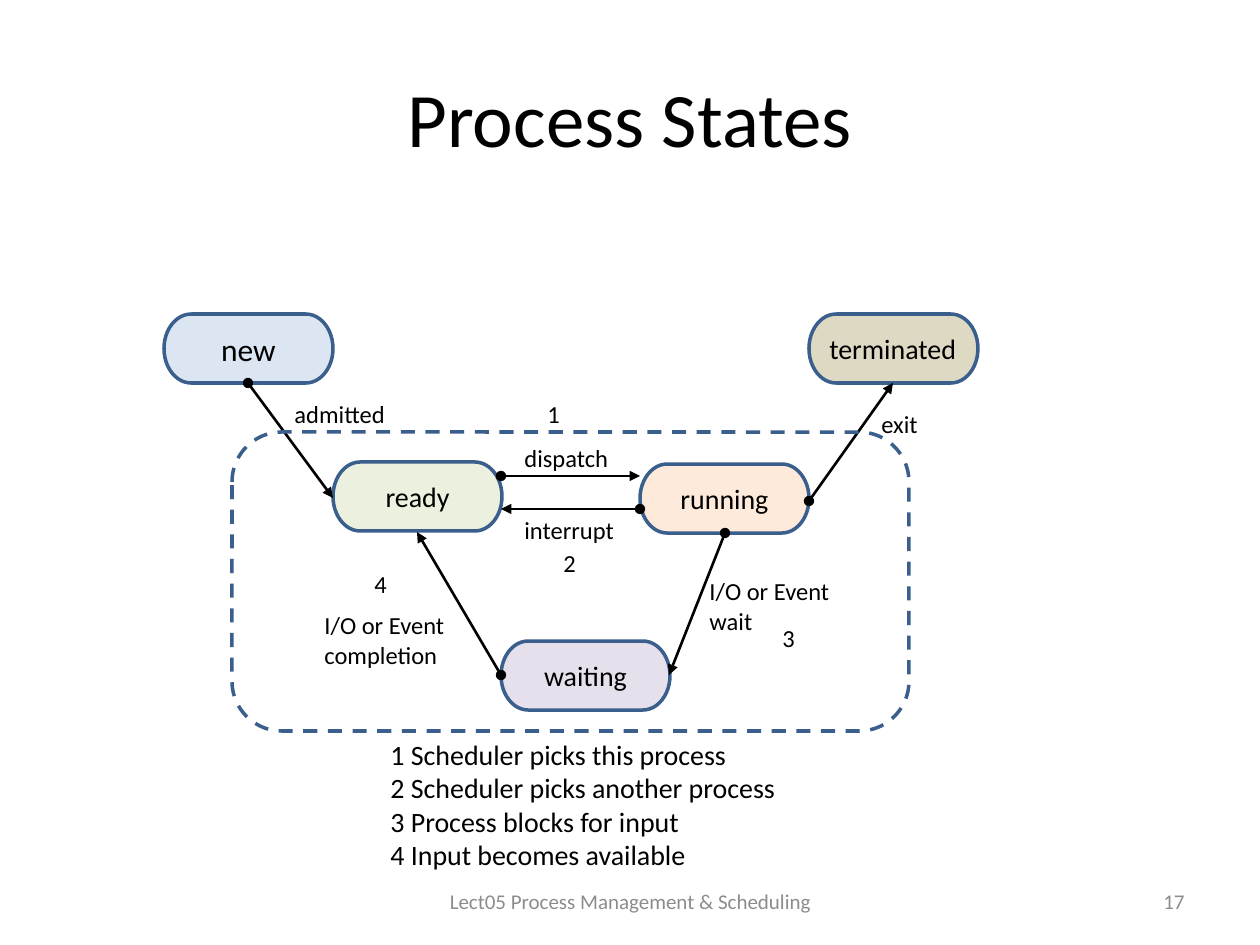
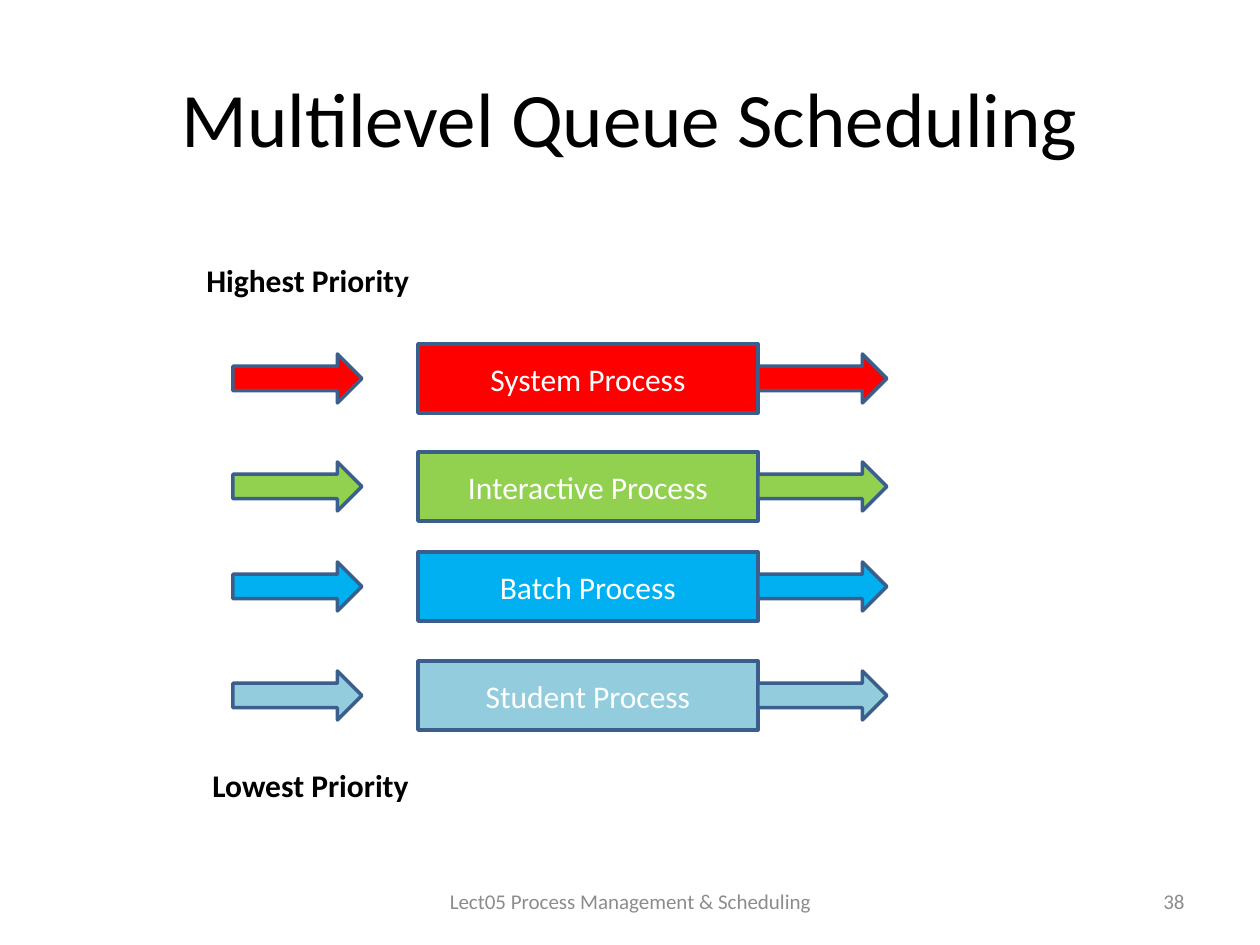
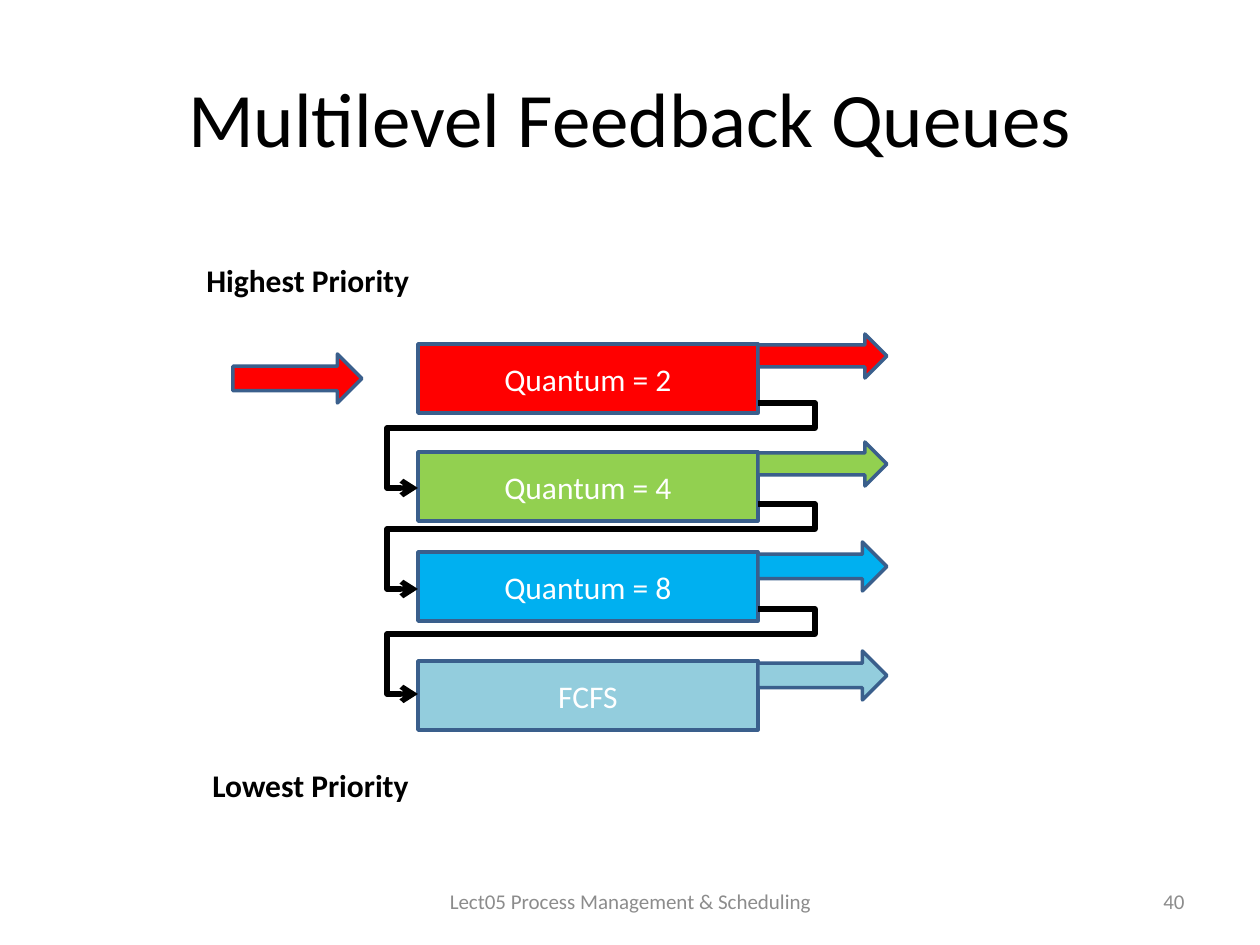
from lxml.etree import SubElement
from pptx import Presentation
from pptx.dml.color import RGBColor
from pptx.enum.dml import MSO_LINE
from pptx.enum.shapes import MSO_CONNECTOR as CONN, MSO_SHAPE as SHAPE
from pptx.enum.text import MSO_ANCHOR as ANCHOR, MSO_AUTO_SIZE as AUTO, PP_ALIGN as ALIGN
from pptx.oxml.ns import qn
from pptx.util import Emu, Pt

SCALE = 914400 / 126
BLACK, WHITE, GRAY, OUTLINE = "000000", "FFFFFF", "8C8C8C", "3A5F8C"
QUEUE_COLORS = ("FF0000", "92D050", "00B0F0", "93CDDD")
QUEUE_TOPS = (344, 452, 552, 661)
QUEUE_LEFT, QUEUE_W, QUEUE_H = 418, 340, 69
ARROW_LEFT, ARROW_W, ARROW_H = 233, 129, 49
QUEUE_RIGHT = QUEUE_LEFT + QUEUE_W
STATE_W, STATE_H = 169, 69


def px(*values):
    return [Emu(round(v * SCALE)) for v in values]


def rgb(color):
    return RGBColor.from_string(color)


def apply(obj, **formats):
    for name, value in formats.items():
        setattr(obj, name, value)


class Deck:
    font = "Calibri"
    footer = "Lect05 Process Management & Scheduling"

    def __init__(self):
        self.prs = Presentation()
        width, height = px(1260, 945)
        apply(self.prs, slide_width=width, slide_height=height)
        self.slide = None

    def new_slide(self, title, number):
        self.slide = self.prs.slides.add_slide(self.prs.slide_layouts[6])
        middle = {"anchor": ANCHOR.MIDDLE}
        self.text((63, 38, 1134, 158), title, 44, align=ALIGN.CENTER, **middle)
        self.text((431, 876, 399, 50), self.footer, 12, GRAY, ALIGN.CENTER, **middle)
        self.text((903, 876, 294, 50), str(number), 12, GRAY, ALIGN.RIGHT, **middle)

    def fill_text(self, sp, text, size, color, align, bold=False, **frame):
        tf = sp.text_frame
        apply(tf, **{"word_wrap": True, **frame})
        for i, line in enumerate(text.split("\n")):
            p = tf.add_paragraph() if i else tf.paragraphs[0]
            p.alignment = align
            r = p.add_run()
            r.text = line
            apply(r.font, name=self.font, size=Pt(size), bold=bold)
            r.font.color.rgb = rgb(color)

    def text(self, box, text, size, color=BLACK, align=ALIGN.LEFT, bold=False,
             anchor=ANCHOR.TOP, **frame):
        sp = self.slide.shapes.add_textbox(*px(*box))
        self.fill_text(sp, text, size, color, align, bold, vertical_anchor=anchor, **frame)

    def shape(self, kind, box, fill=None, text="", size=18, color=BLACK,
              align=ALIGN.CENTER, dash=None):
        sp = self.slide.shapes.add_shape(kind, *px(*box))
        sp.shadow.inherit = False
        if fill:
            sp.fill.solid()
            sp.fill.fore_color.rgb = rgb(fill)
        else:
            sp.fill.background()
        sp.line.color.rgb = rgb(OUTLINE)
        apply(sp.line, width=Pt(2), dash_style=dash)
        if text:
            self.fill_text(sp, text, size, color, align, vertical_anchor=ANCHOR.MIDDLE)

    def line(self, start, end, width=1.5, head=None, tail=None, bend=None):
        kind = CONN.STRAIGHT if bend is None else CONN.ELBOW
        sp = self.slide.shapes.add_connector(kind, *px(*start, *end))
        sp.line.color.rgb = rgb(BLACK)
        sp.line.width = Pt(width)
        props = sp._element.spPr
        for tag, style in (("a:headEnd", head), ("a:tailEnd", tail)):
            if style:
                SubElement(props.find(qn("a:ln")), qn(tag), type=style)
        if bend is not None:
            share = (bend - start[0]) / (end[0] - start[0])
            guides = props.find(qn("a:prstGeom")).get_or_add_avLst()
            SubElement(guides, qn("a:gd"), name="adj1", fmla=f"val {round(share * 100000)}")
        SubElement(props, qn("a:effectLst"))

    def queue(self, row, text):
        box = (QUEUE_LEFT, QUEUE_TOPS[row], QUEUE_W, QUEUE_H)
        self.shape(SHAPE.RECTANGLE, box, QUEUE_COLORS[row], text, color=WHITE)

    def arrow(self, row, left, offset, height=ARROW_H):
        box = (left, QUEUE_TOPS[row] + offset, ARROW_W, height)
        self.shape(SHAPE.RIGHT_ARROW, box, QUEUE_COLORS[row])

    def priorities(self):
        for box, text in (((194, 255, 229, 50), "Highest Priority"),
                          ((200, 760, 224, 50), "Lowest Priority")):
            self.text(box, text, 18, bold=True, word_wrap=False,
                      auto_size=AUTO.SHAPE_TO_FIT_TEXT)

    def feedback(self, top):
        turn, end = top + 25, top + 85
        self.line((799, turn), (QUEUE_LEFT, end), 3, tail="arrow", bend=387)
        self.line((QUEUE_RIGHT, top), (719, turn), 3, bend=815)


def process_states(deck):
    deck.new_slide("Process States", 17)
    deck.text((378, 731, 471, 149),
              "1 Scheduler picks this process\n2 Scheduler picks another process\n"
              "3 Process blocks for input\n4 Input becomes available", 16)
    for x, y, fill, name, size, align in (
            (164, 314, "DCE6F2", "new", 18, ALIGN.CENTER),
            (809, 314, "DDD9C3", "terminated", 16, ALIGN.LEFT),
            (333, 462, "EBF1DE", "ready", 16, ALIGN.CENTER),
            (640, 464, "FDEADA", "running", 16, ALIGN.CENTER),
            (501, 641, "E6E0EC", "waiting", 16, ALIGN.CENTER)):
        deck.shape(SHAPE.FLOWCHART_TERMINATOR, (x, y, STATE_W, STATE_H),
                   fill, name, size, align=align)
    for start, end in (((248, 383), (333, 498)), ((501, 476), (640, 476)),
                       ((809, 501), (893, 383)), ((725, 533), (669, 675)),
                       ((640, 509), (501, 509)), ((501, 675), (417, 532))):
        deck.line(start, end, head="oval", tail="triangle")
    for x, y, w, h, label in (
            (282, 393, 117, 43, "admitted"), (512, 437, 117, 43, "dispatch"),
            (512, 509, 117, 43, "interrupt"), (869, 403, 78, 43, "exit"),
            (312, 604, 163, 72, "I/O or Event completion"),
            (697, 570, 163, 72, "I/O or Event wait"),
            (770, 617, 39, 43, "3"), (535, 393, 39, 43, "1"),
            (362, 563, 39, 43, "4"), (551, 542, 39, 43, "2")):
        deck.text((x, y, w, h), label, 14)
    deck.shape(SHAPE.ROUNDED_RECTANGLE, (232, 432, 677, 299), dash=MSO_LINE.DASH)


def queue_scheduling(deck):
    deck.new_slide("Multilevel Queue Scheduling", 38)
    deck.priorities()
    for row, name in enumerate(("System", "Interactive", "Batch", "Student")):
        deck.arrow(row, ARROW_LEFT, 10)
        deck.queue(row, f"{name} Process")
        deck.arrow(row, QUEUE_RIGHT, 10)


def feedback_queues(deck):
    deck.new_slide("Multilevel Feedback Queues", 40)
    deck.priorities()
    deck.arrow(0, ARROW_LEFT, 10)
    rows = (("Quantum = 2", 44), ("Quantum = 4", 44), ("Quantum = 8", 49), ("FCFS", 49))
    for row, (name, height) in enumerate(rows):
        deck.queue(row, name)
        deck.arrow(row, QUEUE_RIGHT, -10, height)
    for top in (403, 504, 609):
        deck.feedback(top)


def main():
    deck = Deck()
    process_states(deck)
    queue_scheduling(deck)
    feedback_queues(deck)
    deck.prs.save("out.pptx")


if __name__ == "__main__":
    main()
